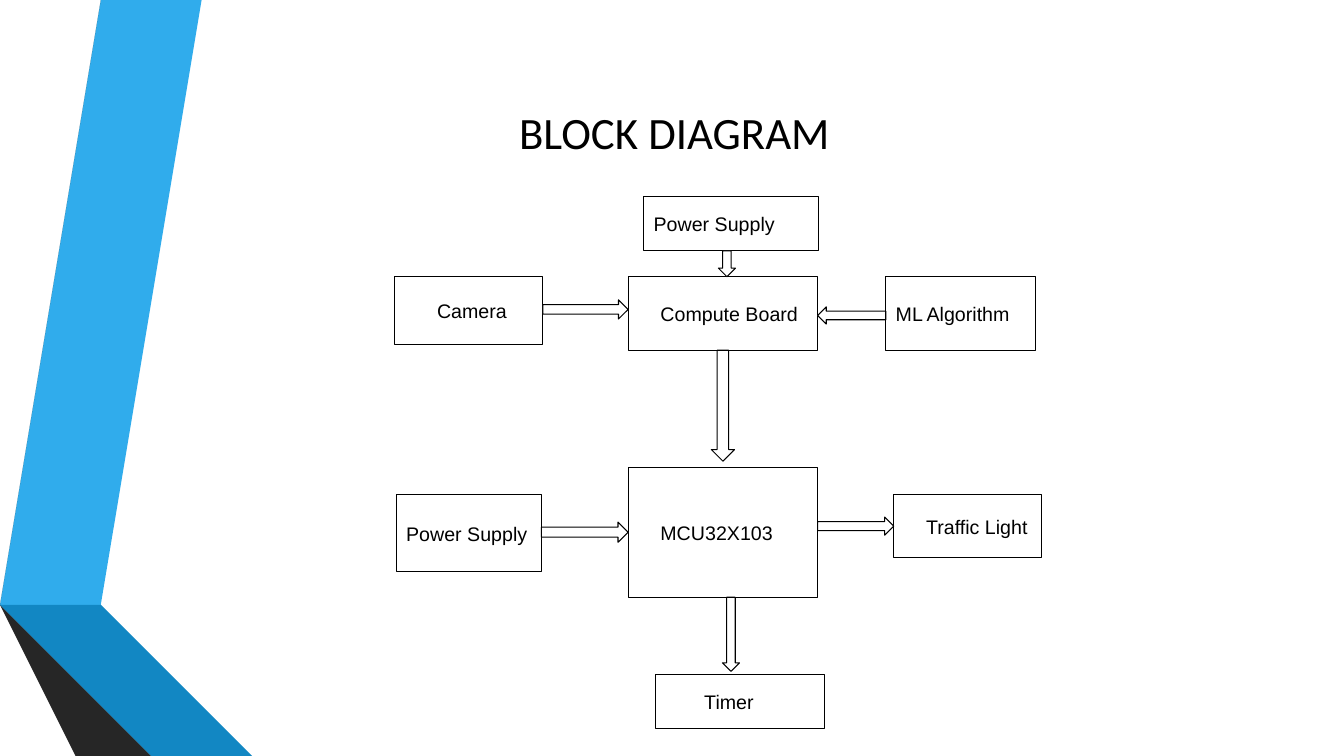
import pptx
import pptx.util
from pptx.dml.color import RGBColor
from pptx.enum.shapes import MSO_SHAPE
from pptx.enum.text import MSO_ANCHOR, PP_ALIGN

WIDTH, HEIGHT = 13.33, 7.5
BLACK = RGBColor(0x00, 0x00, 0x00)
WHITE = RGBColor(0xFF, 0xFF, 0xFF)
SKY = RGBColor(0x30, 0xAC, 0xEC)
BLUE = RGBColor(0x12, 0x87, 0xC3)
NAVY = RGBColor(0x0C, 0x5A, 0x82)
GRAY = RGBColor(0x59, 0x59, 0x59)
DARK_GRAY = RGBColor(0x40, 0x40, 0x40)
CHARCOAL = RGBColor(0x26, 0x26, 0x26)

# Content: title, grid centres, blocks and arrows
TITLE = "BLOCK DIAGRAM"
COLUMNS = {"left": 4.65, "middle": 7.17, "right": 9.56}
ROWS = {"supply": 2.22, "vision": 3.11, "control": 5.28, "timer": 6.96}

# name: (text, column, row, shift across, shift down, width, height, indent)
BLOCKS = {
    "camera": ("Camera", "left", "vision", 0, -0.03, 1.47, 0.68, 0.32),
    "board": ("Compute Board", "middle", "vision", 0, 0, 1.88, 0.73, 0.22),
    "algorithm": ("ML Algorithm", "right", "vision", -0.03, 0, 1.49, 0.73, 0),
    "board supply": ("Power Supply", "middle", "supply", 0.08, 0, 1.73, 0.54, 0),
    "controller": ("MCU32X103", "middle", "control", 0, 0, 1.88, 1.29, 0.22),
    "controller supply": ("Power Supply", "left", "control", 0, 0.01, 1.44, 0.76, 0),
    "light": ("Traffic Light", "right", "control", 0.04, -0.06, 1.47, 0.63, 0.22),
    "timer": ("Timer", "middle", "timer", 0.17, 0, 1.67, 0.54, 0.38),
}

# (from, to, centre across the arrow, thickness, gap before the target)
ARROWS = [
    ("camera", "board", 3.07, 0.19, 0),
    ("algorithm", "board", 3.13, 0.17, 0),
    ("board supply", "board", 7.21, 0.17, 0),
    ("board", "controller", 7.17, 0.23, 0.06),
    ("controller supply", "controller", 5.28, 0.2, 0),
    ("controller", "light", 5.22, 0.18, 0),
    ("controller", "timer", 7.25, 0.17, 0.03),
]

# Folded ribbons on the left edge
RIBBONS = [
    (SKY, [(0.5, 5.78), (0.77, 5.83), (1.73, 0), (1.45, 0)]),
    (GRAY, [(1.39, 0), (1.11, 0), (0.16, 5.73), (0.44, 5.77)]),
    (CHARCOAL, [(0.16, 5.73), (1.45, HEIGHT), (1.51, HEIGHT)]),
    (NAVY, [(0.5, 5.79), (2.08, HEIGHT), (2.14, HEIGHT)]),
    (BLUE, [(0.5, 5.78), (2.14, HEIGHT), (2.83, HEIGHT), (0.77, 5.83)]),
    (DARK_GRAY, [(2.02, HEIGHT), (0.48, 5.83), (0.44, 5.77), (0.16, 5.73), (1.51, HEIGHT)]),
]


def write(shape, text, font="Arial", size=14, align=PP_ALIGN.LEFT, indent=0):
    frame = shape.text_frame
    frame.word_wrap = True
    frame.vertical_anchor = MSO_ANCHOR.MIDDLE
    frame.margin_left = pptx.util.Inches(0.1 + indent)
    frame.margin_right = pptx.util.Inches(0.05)
    para = frame.paragraphs[0]
    para.alignment = align
    span = para.add_run()
    span.text = text
    span.font.name = font
    span.font.size = pptx.util.Pt(size)
    span.font.color.rgb = BLACK


def add_outlined(page, kind, left, top, width, height):
    shape = page.shapes.add_shape(kind, *map(pptx.util.Inches, (left, top, width, height)))
    shape.shadow.inherit = False
    shape.fill.solid()
    shape.fill.fore_color.rgb = WHITE
    shape.line.color.rgb = BLACK
    shape.line.width = pptx.util.Pt(0.75)
    return shape


def edges(name):
    text, column, row, across, down, width, height, indent = BLOCKS[name]
    left = COLUMNS[column] + across - width / 2
    top = ROWS[row] + down - height / 2
    return left, top, left + width, top + height


def add_arrow(page, source, target, centre, thickness, gap):
    left, top, right, bottom = edges(source)
    to_left, to_top, to_right, to_bottom = edges(target)
    side = centre - thickness / 2
    if to_left >= right:
        add_outlined(page, MSO_SHAPE.RIGHT_ARROW, right, side, to_left - gap - right, thickness)
    elif to_right <= left:
        start = to_right + gap
        add_outlined(page, MSO_SHAPE.LEFT_ARROW, start, side, left - start, thickness)
    else:
        add_outlined(page, MSO_SHAPE.DOWN_ARROW, side, bottom, thickness, to_top - gap - bottom)


def main():
    deck = pptx.Presentation()
    deck.slide_width = pptx.util.Inches(WIDTH)
    deck.slide_height = pptx.util.Inches(HEIGHT)
    page = deck.slides.add_slide(deck.slide_layouts[5])

    # Ribbons
    for color, points in RIBBONS:
        builder = page.shapes.build_freeform(*points[0], scale=pptx.util.Inches(1))
        builder.add_line_segments(points[1:], close=True)
        ribbon = builder.convert_to_shape()
        ribbon.shadow.inherit = False
        ribbon.fill.solid()
        ribbon.fill.fore_color.rgb = color
        ribbon.line.fill.background()

    # Title
    title = page.shapes.title
    title.left, title.top = pptx.util.Inches(1.25), pptx.util.Inches(0.67)
    title.width, title.height = pptx.util.Inches(10.83), pptx.util.Inches(1.28)
    write(title, TITLE, font="Calibri", size=32, align=PP_ALIGN.CENTER)

    # Blocks
    for name, block in BLOCKS.items():
        left, top, right, bottom = edges(name)
        box = add_outlined(page, MSO_SHAPE.RECTANGLE, left, top, right - left, bottom - top)
        write(box, block[0], indent=block[-1])

    # Arrows
    for arrow in ARROWS:
        add_arrow(page, *arrow)

    deck.save("out.pptx")


if __name__ == "__main__":
    main()
